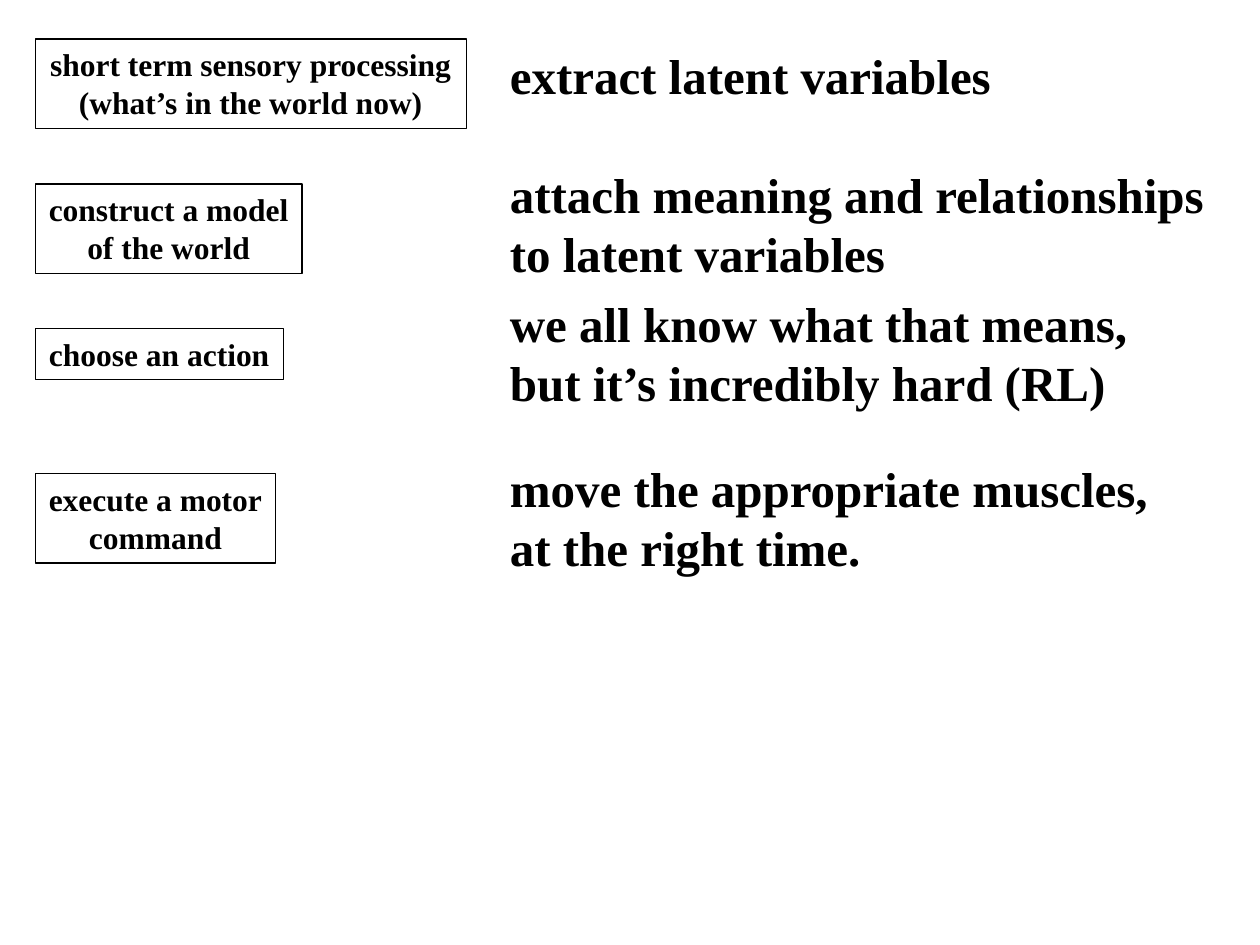
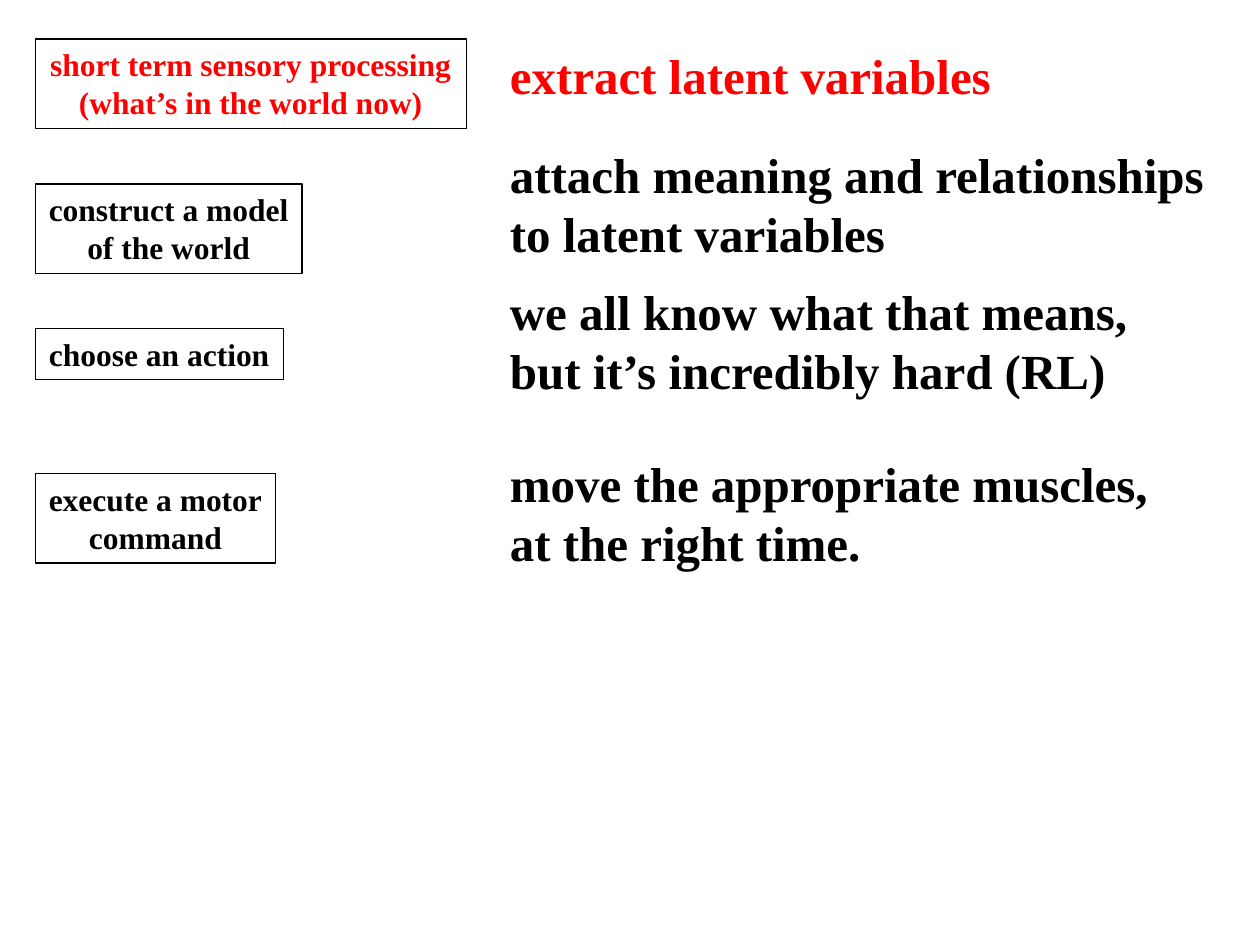
from pptx import Presentation
from pptx.dml.color import RGBColor
from pptx.enum.shapes import MSO_SHAPE
from pptx.enum.text import MSO_ANCHOR, MSO_AUTO_SIZE, PP_ALIGN
from pptx.util import Cm, Pt

BLACK = RGBColor(0x00, 0x00, 0x00)
RED = RGBColor(0xFF, 0x00, 0x00)

# Layout in centimetres
STAGE_LEFT, NOTE_LEFT = 0.71, 10.03
FIRST_TOP, STAGE_PITCH = 0.79, 2.92

# Stages: text, width, height
STAGES = [
    ("short term sensory processing\n(what’s in the world now)", 8.69, 1.8),
    ("construct a model\nof the world", 5.38, 1.8),
    ("choose an action", 5, 1.02),
    ("execute a motor\ncommand", 4.85, 1.8),
]

# Explanations: text, width, height, wrap
NOTES = [
    ("extract latent variables", 10.31, 1.45, False),
    ("attach meaning and relationships\nto latent variables", 14.66, 2.64, False),
    ("we all know what that means, but it’s incredibly hard (RL)", 14.17, 2.64, True),
    ("move the appropriate muscles, at the right time.", 14.17, 2.64, True),
]

# Each slide: tops of the explanations, index of the highlighted row
SLIDES = [
    ((FIRST_TOP, 3.2, 5.79, 9.12), None),
    ((FIRST_TOP, 2.79, 5.56, 9.02), 0),
]


class Deck:
    font = "Times New Roman"
    stage_size, note_size = Pt(18), Pt(28)

    def __init__(self):
        self.prs = Presentation()
        self.prs.slide_width, self.prs.slide_height = Cm(25.4), Cm(19.05)
        self.s = None

    def new_slide(self):
        self.s = self.prs.slides.add_slide(self.prs.slide_layouts[6])

    def set_text(self, sp, text, size, color, align, wrap=False):
        tf = sp.text_frame
        tf.text = text
        tf.word_wrap = wrap
        tf.auto_size = MSO_AUTO_SIZE.SHAPE_TO_FIT_TEXT
        tf.vertical_anchor = MSO_ANCHOR.TOP
        for p in tf.paragraphs:
            p.alignment = align
            for r in p.runs:
                r.font.name = self.font
                r.font.size = size
                r.font.bold = True
                r.font.color.rgb = color

    def stage(self, text, top, width, height, color):
        sp = self.s.shapes.add_shape(MSO_SHAPE.RECTANGLE, Cm(STAGE_LEFT), Cm(top),
                                     Cm(width), Cm(height))
        sp.shadow.inherit = False
        sp.fill.background()
        sp.line.color.rgb = BLACK
        sp.line.width = Pt(0.75)
        self.set_text(sp, text, self.stage_size, color, PP_ALIGN.CENTER)

    def note(self, text, top, width, height, color, wrap):
        sp = self.s.shapes.add_textbox(Cm(NOTE_LEFT), Cm(top), Cm(width), Cm(height))
        self.set_text(sp, text, self.note_size, color, PP_ALIGN.LEFT, wrap)


def main():
    deck = Deck()
    for note_tops, highlight in SLIDES:
        deck.new_slide()
        colors = [RED if row == highlight else BLACK for row in range(len(STAGES))]

        # Processing stages on the left, evenly spaced
        for row, (text, width, height) in enumerate(STAGES):
            deck.stage(text, FIRST_TOP + row * STAGE_PITCH, width, height, colors[row])

        # Explanations on the right
        for (text, width, height, wrap), top, color in zip(NOTES, note_tops, colors):
            deck.note(text, top, width, height, color, wrap)

    deck.prs.save("out.pptx")


if __name__ == "__main__":
    main()
